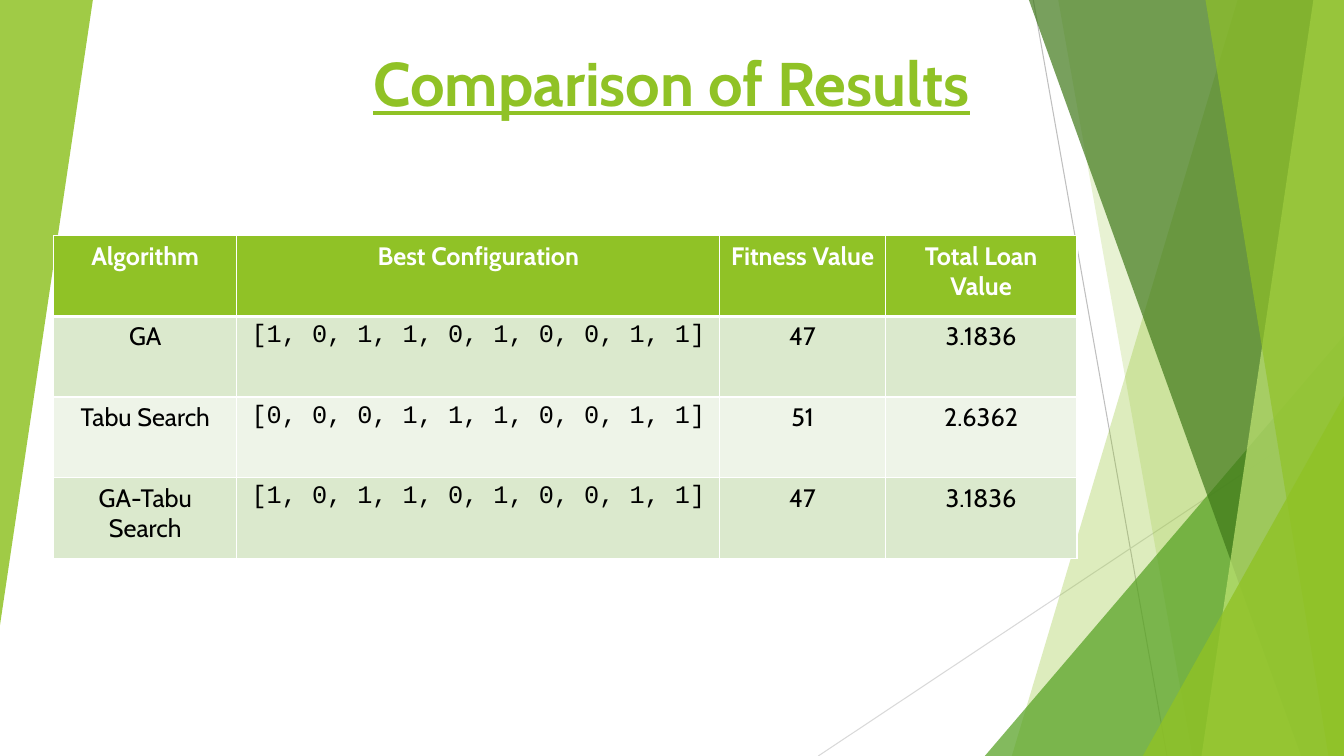
from dataclasses import dataclass

from lxml import etree
from pptx import Presentation, util as u
from pptx.dml.color import RGBColor
from pptx.enum import shapes, text
from pptx.oxml.ns import qn


@dataclass(frozen=True)
class Theme:
    """Colours, fonts and type sizes of the slide."""
    lime: str = "90C226"
    leaf: str = "54A021"
    forest: str = "3F7819"
    pale: str = "C0E474"
    rule_dark: str = "BFBFBF"
    rule_light: str = "D9D9D9"
    white: str = "FFFFFF"
    black: str = "000000"
    bands: tuple = ("DBE9CD", "EEF4E8")
    font: str = "Cabin"
    mono: str = "Courier New"
    title_size: int = 44
    table_size: int = 18


@dataclass(frozen=True)
class Box:
    """A region of the slide, in centimetres."""
    left: float
    top: float
    width: float
    height: float

    @property
    def right(self):
        """Right edge of the region."""
        return self.left + self.width

    @property
    def bottom(self):
        """Bottom edge of the region."""
        return self.top + self.height

    def emu(self):
        """Left, top, width and height as lengths."""
        return [u.Cm(v) for v in (self.left, self.top, self.width, self.height)]


THEME = Theme()
PAGE = Box(0, 0, 33.87, 19.05)

RESULTS = [
    ("Algorithm", "Best Configuration", "Fitness Value", "Total Loan Value"),
    ("GA", "[1, 0, 1, 1, 0, 1, 0, 0, 1, 1]", "47", "3.1836"),
    ("Tabu Search", "[0, 0, 0, 1, 1, 1, 0, 0, 1, 1]", "51", "2.6362"),
    ("GA-Tabu Search", "[1, 0, 1, 1, 0, 1, 0, 0, 1, 1]", "47", "3.1836"),
]
COLUMN_WIDTHS = (4.62, 12.17, 4.17, 4.83)
CONFIGURATION_COLUMN = 1


def write(frame, words, *, size, color, font=THEME.font, bold=False,
          underline=False, align=text.PP_ALIGN.CENTER):
    """Put one formatted paragraph into a text frame."""
    paragraph = frame.paragraphs[0]
    paragraph.alignment = align
    run = paragraph.add_run()
    run.text = words
    run.font.name, run.font.size = font, u.Pt(size)
    run.font.bold, run.font.underline = bold, underline
    run.font.color.rgb = RGBColor.from_string(color)


def tint(shape, color, opacity):
    """Fill a shape with a see-through colour, without outline or shadow."""
    shape.shadow.inherit = False
    shape.line.fill.background()
    shape.fill.solid()
    shape.fill.fore_color.rgb = RGBColor.from_string(color)
    srgb = shape.fill._xPr.find(".//" + qn("a:srgbClr"))
    etree.SubElement(srgb, qn("a:alpha"), val=str(opacity * 1000))


def add_rule(slide, start, end, color):
    """Draw a thin straight line between two points."""
    rule = slide.shapes.add_connector(
        shapes.MSO_CONNECTOR.STRAIGHT, *(u.Cm(v) for v in start + end))
    rule.line.color.rgb = RGBColor.from_string(color)
    rule.line.width = u.Pt(0.75)
    etree.SubElement(rule._element.spPr, qn("a:effectLst"))


def add_shard(slide, box, top_inset, bottom_inset, color, opacity):
    """Draw a full-height facet; insets are measured from the right edge."""
    corners = [(box.right - top_inset, box.top), (box.right, box.top),
               (box.right, box.bottom), (box.right - bottom_inset, box.bottom)]
    first, *rest = [(u.Cm(x), u.Cm(y)) for x, y in corners]
    outline = slide.shapes.build_freeform(*first, scale=1.0)
    outline.add_line_segments(rest, close=True)
    tint(outline.convert_to_shape(), color, opacity)


def add_wedge(slide, box, color, opacity, rotation=0):
    """Draw a right-angled triangle that fills the box."""
    wedge = slide.shapes.add_shape(
        shapes.MSO_SHAPE.ISOSCELES_TRIANGLE, *box.emu())
    wedge.adjustments[0] = 1
    wedge.rotation = rotation
    tint(wedge, color, opacity)


def add_corner_wedge(slide, box, width, height, color, opacity):
    """Draw a wedge in the bottom right corner of the box."""
    corner = Box(box.right - width, box.bottom - height, width, height)
    add_wedge(slide, corner, color, opacity)


def draw_facets(slide, box):
    """Layer the rules, shards and wedges along the right side."""
    add_rule(slide, (box.right - 7.83, box.top),
             (box.right - 4.46, box.bottom), THEME.rule_dark)
    add_rule(slide, (box.right, box.top + 10.24),
             (box.left, box.bottom), THEME.rule_light)
    add_shard(slide, box, 2.68, 8.37, THEME.lime, 30)
    add_shard(slide, box, 7.2, 3.82, THEME.lime, 20)
    add_corner_wedge(slide, box, 9.05, 10.59, THEME.leaf, 72)
    add_shard(slide, box, 7.94, 1.08, THEME.forest, 70)
    add_shard(slide, box, 0.77, 3.59, THEME.pale, 70)
    add_shard(slide, box, 3.49, 0.39, THEME.lime, 65)
    add_corner_wedge(slide, box, 5.07, 9.07, THEME.lime, 80)


def draw_title(slide, box):
    """Place the underlined heading in the title placeholder."""
    heading = slide.shapes.title
    heading.left, heading.top, heading.width, heading.height = box.emu()
    frame = heading.text_frame
    frame.word_wrap = True
    frame.auto_size = text.MSO_AUTO_SIZE.NONE
    frame.vertical_anchor = text.MSO_ANCHOR.BOTTOM
    write(frame, "Comparison of Results", size=THEME.title_size,
          color=THEME.lime, bold=True, underline=True)


def paint_cell(cell, color, top, bottom):
    """Fill a cell and give it white borders of the given point widths."""
    cell.fill.solid()
    cell.fill.fore_color.rgb = RGBColor.from_string(color)
    sides = {"lnL": 1, "lnR": 1, "lnT": top, "lnB": bottom}
    for place, (side, width) in enumerate(sides.items()):
        border = etree.Element(qn(f"a:{side}"), w=str(u.Pt(width)))
        fill = etree.SubElement(border, qn("a:solidFill"))
        etree.SubElement(fill, qn("a:srgbClr"), val=THEME.white)
        cell._tc.get_or_add_tcPr().insert(place, border)


def draw_results(slide, box):
    """Build the table that compares the algorithms."""
    results = slide.shapes.add_table(
        len(RESULTS), len(COLUMN_WIDTHS), *box.emu()).table
    for column, width in zip(results.columns, COLUMN_WIDTHS):
        column.width = u.Cm(width)
    for r, values in enumerate(RESULTS):
        header = r == 0
        band = THEME.lime if header else THEME.bands[(r - 1) % 2]
        for c, value in enumerate(values):
            cell = results.cell(r, c)
            paint_cell(cell, band, top=3 if r == 1 else 1,
                       bottom=3 if header else 1)
            is_code = c == CONFIGURATION_COLUMN and not header
            write(cell.text_frame, value, size=THEME.table_size, bold=header,
                  color=THEME.white if header else THEME.black,
                  font=THEME.mono if is_code else THEME.font)


def main():
    """Assemble and save the slide."""
    deck = Presentation()
    deck.slide_width, deck.slide_height = u.Cm(PAGE.width), u.Cm(PAGE.height)
    slide = deck.slides.add_slide(deck.slide_layouts[5])
    draw_facets(slide, Box(20.62, 0, PAGE.width - 20.62, PAGE.height))
    add_wedge(slide, Box(0, 0, 2.34, 15.75), THEME.lime, 85, rotation=180)
    draw_title(slide, Box(4.23, 1, 25.4, 2.13))
    draw_results(slide, Box(1.35, 5.94, sum(COLUMN_WIDTHS), 8.13))
    deck.save("out.pptx")


main()
